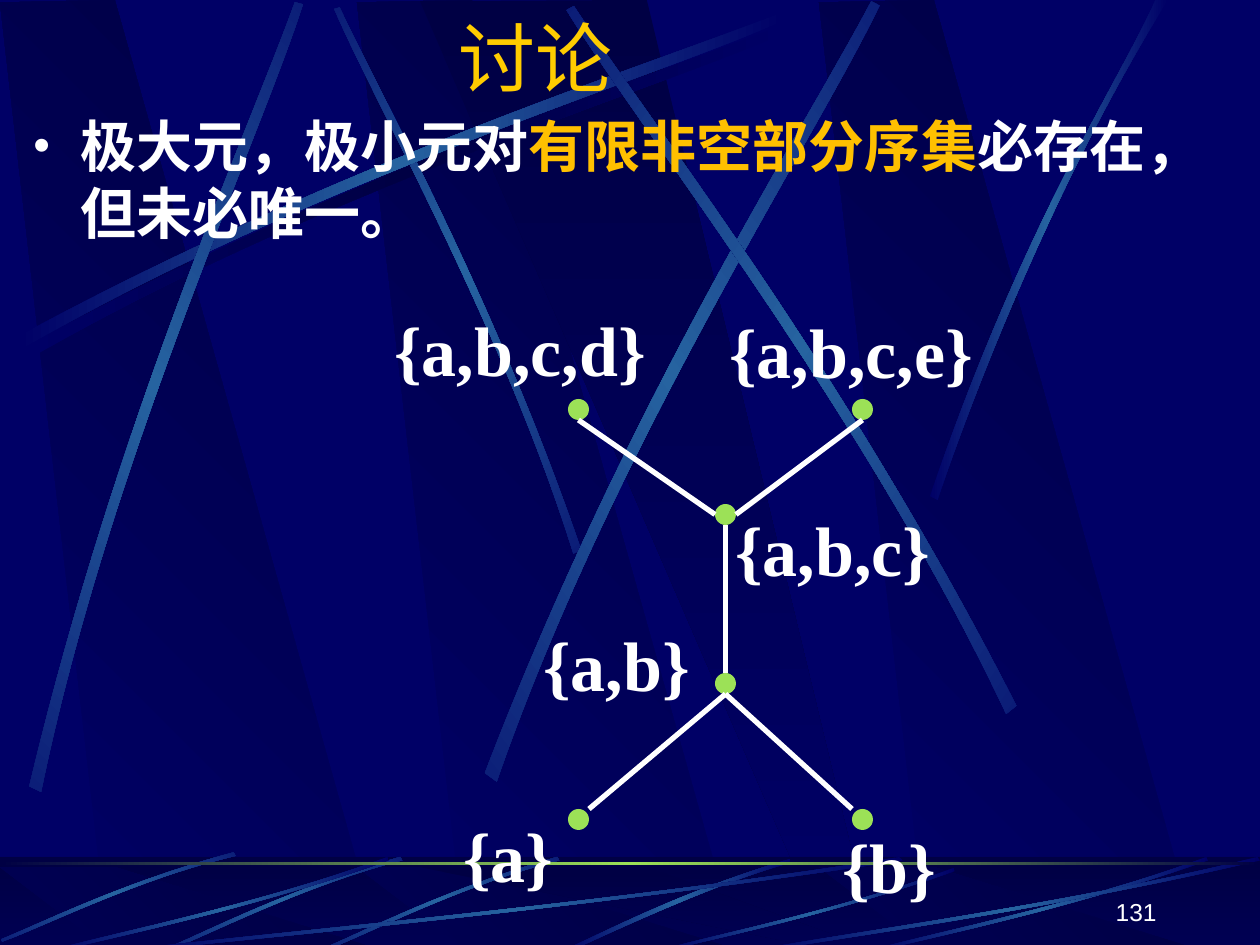
import pptx
import pptx.util
import pptx.dml.color
import pptx.enum.shapes
import pptx.enum.text
import pptx.oxml
import pptx.oxml.ns

NAVY, DARK, BEAM, GREEN, WHITE = "000066", "000044", "2663A0", "9CE157", "FFFFFF"
GLOW, SHADE = (NAVY, BEAM, NAVY), (NAVY, DARK, NAVY)
PLANE = [(86, 750), (302, 752), (91, 0), (0, 2)]
MIDDLE = [(0, 1), (325, 751), (361, 751), (180, 0)]
ARC = [(0, 257), (264, 115), (504, 41), (606, 0), (609, 6), (508, 51), (234, 133), (3, 267)]
STEEP_ARC = [(0, 394), (76, 173), (150, 66), (179, 0), (189, 0), (98, 145), (31, 322), (6, 397)]
LOW_ARC = [(179, 0), (89, 27), (29, 60), (0, 72), (5, 73), (42, 56), (123, 18), (180, 3)]
DOT = 21
NODES = {
    "{a,b,c}": (715, 504), "{a,b}": (715, 673), "{a,b,c,d}": (568, 399),
    "{a,b,c,e}": (852, 399), "{a}": (568, 809), "{b}": (852, 809),
}
EDGES = [
    ("{a,b,c}", (0.5, 1), "{a,b}", (0.5, 0)),
    ("{a,b,c,d}", (0.5, 1), "{a,b,c}", (0, 0.5)),
    ("{a,b,c,e}", (0.5, 1), "{a,b,c}", (1, 0.5)),
    ("{a,b}", (0.5, 1), "{a}", (1, 0)),
    ("{a,b}", (0.5, 1), "{b}", (0, 0)),
]
LABELS = {
    "{a}": (451, 790, 127), "{b}": (830, 801, 132), "{a,b}": (531, 599, 184),
    "{a,b,c}": (723, 484, 233), "{a,b,c,d}": (382, 284, 290), "{a,b,c,e}": (717, 286, 281),
}


def px(n):
    """Turn pixels into EMU."""
    return pptx.util.Emu(round(n * 914400 / 126))


def rgb(color):
    """Turn a hex string into a colour."""
    return pptx.dml.color.RGBColor.from_string(color)


def paint(sp, colors, angle=0, alpha=None):
    """Fill a shape with one colour or an even gradient, without line or shadow."""
    sp.shadow.inherit = False
    sp.line.fill.background()
    qn = pptx.oxml.ns.qn
    if len(colors) == 1:
        sp.fill.solid()
        sp.fill.fore_color.rgb = rgb(colors[0])
        if alpha is not None:
            clr = sp._element.spPr.find(qn("a:solidFill")).find(qn("a:srgbClr"))
            clr.append(clr.makeelement(qn("a:alpha"), {"val": str(alpha * 1000)}))
        return
    sp.fill.gradient()
    sp.fill.gradient_angle = (360 - angle) % 360
    stops = sp._element.spPr.find(qn("a:gradFill")).find(qn("a:gsLst"))
    for old in list(stops):
        stops.remove(old)
    for i, color in enumerate(colors):
        pos = 100000 * i // (len(colors) - 1)
        stops.append(pptx.oxml.parse_xml(
            f'<a:gs {pptx.oxml.ns.nsdecls("a")} pos="{pos}"><a:srgbClr val="{color}"/></a:gs>'))


def shape(s, kind, box, colors, **fmt):
    """Add a filled preset shape."""
    sp = s.shapes.add_shape(kind, *map(px, box))
    paint(sp, colors, **fmt)


def outline(s, box, pts, colors, angle=0, rot=0):
    """Add a freeform whose points are stretched over a box."""
    x, y, w, h = box
    xmax, ymax = (max(axis) for axis in zip(*pts))
    pts = [(px(x + w * u / xmax), px(y + h * v / ymax)) for u, v in pts]
    fb = s.shapes.build_freeform(*pts[0], scale=1.0)
    fb.add_line_segments(pts[1:], close=True)
    sp = fb.convert_to_shape()
    sp.rotation = rot
    paint(sp, colors, angle)
    return sp


def curve(sp):
    """Turn the two long edges of an eight-point outline into cubic curves."""
    qn = pptx.oxml.ns.qn
    lines = list(sp._element.spPr.iter(qn("a:lnTo")))
    for edge_lines in (lines[:3], lines[4:7]):
        cubic = edge_lines[0].makeelement(qn("a:cubicBezTo"), {})
        edge_lines[0].addprevious(cubic)
        for line in edge_lines:
            cubic.append(line[0])
            line.getparent().remove(line)


def streak(s, box, arc=ARC, colors=GLOW, rot=0, flip_h=False, flip_v=False):
    """Add a curved light streak between two edges."""
    xmax, ymax = (max(axis) for axis in zip(*arc))
    arc = [(xmax - x if flip_h else x, ymax - y if flip_v else y) for x, y in arc]
    curve(outline(s, box, arc, colors, rot=rot))


def planes(s, y, h):
    """Add a row of slanted background planes."""
    for x in (357, 0, 819):
        outline(s, (x, y, 381, h), PLANE, (NAVY, DARK), angle=315)
    outline(s, (420, y, 455, h), MIDDLE, (DARK, NAVY), angle=90)


def backdrop(s):
    """Draw the planes, streaks and floor."""
    s.background.fill.solid()
    s.background.fill.fore_color.rgb = rgb(NAVY)
    rect = pptx.enum.shapes.MSO_SHAPE.RECTANGLE
    planes(s, 0, 948)
    streak(s, (25, 23, 766, 336), colors=SHADE)
    streak(s, (178, 170, 557, 221), rot=45, flip_h=True)
    streak(s, (18, 13, 766, 336))
    streak(s, (-215, 229, 766, 336), rot=311.7)
    streak(s, (291, 202, 786, 379), rot=321.6)
    streak(s, (407, 192, 766, 336), rot=34.7, flip_h=True)
    streak(s, (930, 0, 238, 500), STEEP_ARC)
    floor = (0, 857, 1260, 95)
    shape(s, rect, floor, (DARK, NAVY), angle=90)
    planes(s, 867, 83)
    shape(s, rect, floor, (DARK,), alpha=50)
    streak(s, (564, 859, 227, 92), LOW_ARC)
    for box in ((325, 852, 232, 105), (168, 852, 232, 105), (5, 844, 227, 107)):
        streak(s, box, rot=315, flip_h=True)
    for box in ((126, 857, 777, 95), (53, 857, 336, 95), (664, 868, 291, 83),
                (872, 857, 336, 95), (756, 857, 504, 95)):
        streak(s, box, flip_h=True, flip_v=True)
    shape(s, rect, (0, 862, 1260, 3), (DARK, GREEN, DARK))


def text(s, box, runs, size, font, bold=False, align="LEFT", anchor="TOP",
         wrap=True, before=0, spacing=None, bullet=False):
    """Add a text box of one paragraph from (text, colour) runs."""
    tf = s.shapes.add_textbox(*map(px, box)).text_frame
    tf.word_wrap = wrap
    tf.vertical_anchor = pptx.enum.text.MSO_ANCHOR[anchor]
    p = tf.paragraphs[0]
    p.alignment = pptx.enum.text.PP_ALIGN[align]
    p.space_before = pptx.util.Pt(before)
    if spacing:
        p.line_spacing = spacing
    if bullet:
        pPr = p._p.get_or_add_pPr()
        pPr.set("marL", str(px(47)))
        pPr.set("indent", str(px(-47)))
        for tag, attrs in (("a:buSzPct", {"val": "85000"}), ("a:buFont", {"typeface": font}),
                           ("a:buChar", {"char": "•"})):
            pPr.append(pPr.makeelement(pptx.oxml.ns.qn(tag), attrs))
    for words, color in runs:
        r = p.add_run()
        r.text = words
        r.font.size = pptx.util.Pt(size)
        r.font.name = font
        r.font.bold = bold
        r.font.color.rgb = rgb(color)


def edge(s, start, start_at, end, end_at):
    """Join two nodes at fractions of their boxes."""
    ends = [px(c + f * DOT) for node, at in ((start, start_at), (end, end_at))
            for c, f in zip(NODES[node], at)]
    cn = s.shapes.add_connector(pptx.enum.shapes.MSO_CONNECTOR.STRAIGHT, *ends)
    cn.line.color.rgb = rgb(WHITE)
    cn.line.width = pptx.util.Pt(3)
    spPr = cn._element.spPr
    spPr.append(spPr.makeelement(pptx.oxml.ns.qn("a:effectLst"), {}))


def hasse(s):
    """Draw the diagram of the ordered sets."""
    for x, y in NODES.values():
        shape(s, pptx.enum.shapes.MSO_SHAPE.OVAL, (x, y, DOT, DOT), (GREEN,))
    for ends in EDGES:
        edge(s, *ends)
    for label, (x, y, w) in LABELS.items():
        text(s, (x, y, w, 113), [(label, WHITE)], 40, "Times New Roman", bold=True,
             wrap=False, before=4, spacing=1.2)


def main():
    """Build and save the slide."""
    prs = pptx.Presentation()
    prs.slide_width, prs.slide_height = px(1260), px(945)
    s = prs.slides.add_slide(prs.slide_layouts[6])
    backdrop(s)
    text(s, (0, 0, 1071, 113), [("讨论", "FFCC00")], 44, "Montserrat", align="CENTER", anchor="MIDDLE")
    text(s, (21, 105, 1218, 735),
         [("极大元，极小元对", WHITE), ("有限非空部分序集", "FFC000"), ("必存在，但未必唯一。", WHITE)],
         32, "Arial", bold=True, before=6, bullet=True)
    hasse(s)
    text(s, (907, 870, 262, 63), [("131", WHITE)], 14, "Arial", align="RIGHT", anchor="BOTTOM")
    prs.save("out.pptx")


if __name__ == "__main__":
    main()
